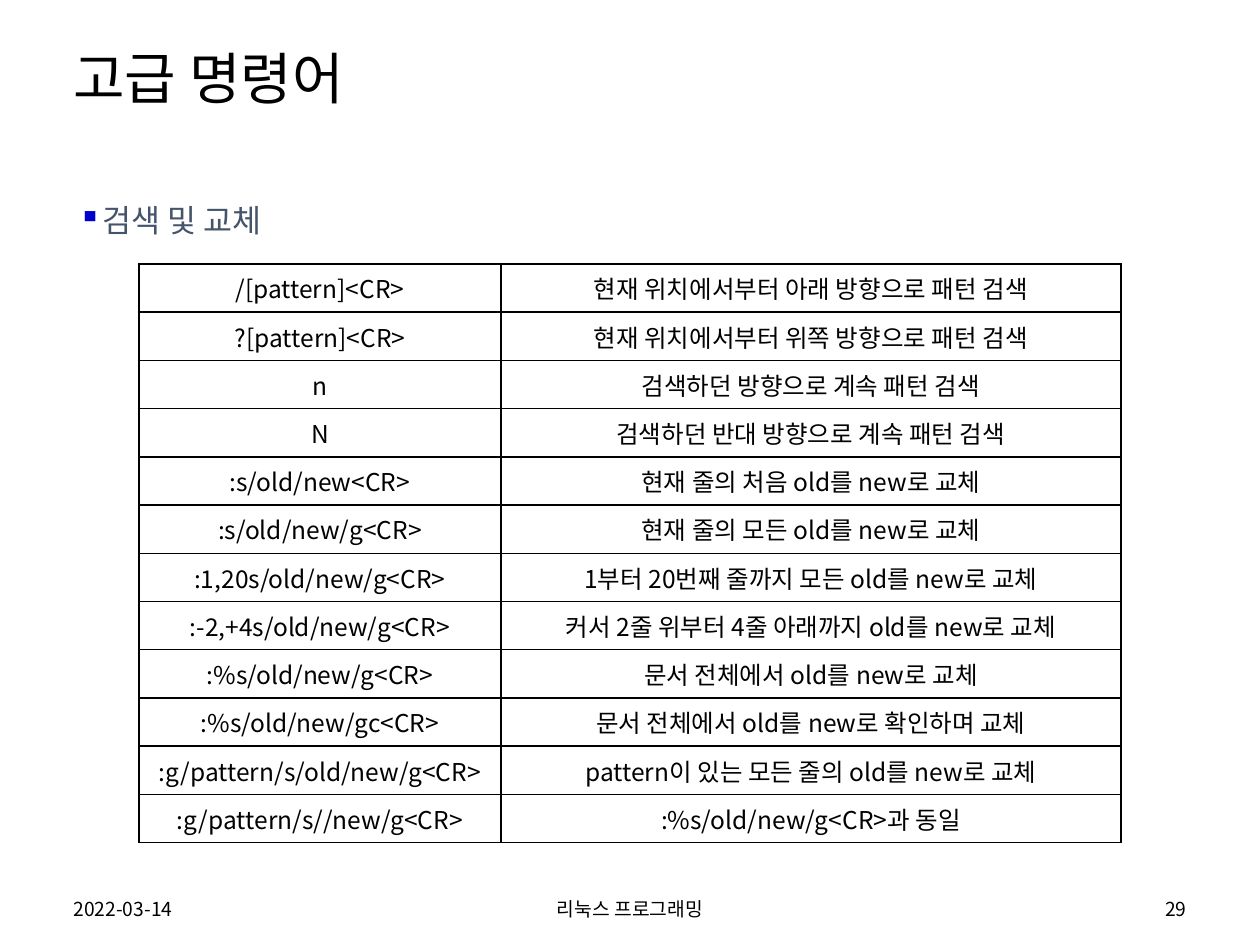
import pptx
import pptx.util
import pptx.dml.color
import pptx.enum.text
import pptx.oxml
import pptx.oxml.ns
from lxml import etree

PX = 914400 / 126
ALIGN = pptx.enum.text.PP_ALIGN
MIDDLE = pptx.enum.text.MSO_ANCHOR.MIDDLE
THEME = {
    "font": "Noto Sans CJK KR",
    "text": "000000", "heading": "44546A", "bullet": "0000CC", "border": "000000",
    "title_pt": 32, "heading_pt": 18, "table_pt": 14, "footer_pt": 11,
}
qn = pptx.oxml.ns.qn


def write(tf, text, size, color="text", align=ALIGN.LEFT):
    """Put one styled run into the first paragraph and return the paragraph."""
    p = tf.paragraphs[0]
    p.alignment = align
    r = p.add_run()
    r.text = text
    r.font.size = pptx.util.Pt(THEME[size])
    r.font.name = THEME["font"]
    r.font.color.rgb = pptx.dml.color.RGBColor.from_string(THEME[color])
    return p


def add_text(box, text, size, color="text", align=ALIGN.LEFT, anchor=MIDDLE):
    tf = s.shapes.add_textbox(*[round(v * PX) for v in box]).text_frame
    tf.word_wrap = True
    tf.vertical_anchor = anchor
    return write(tf, text, size, color, align)


prs = pptx.Presentation()
prs.slide_width = round(1260 * PX)
prs.slide_height = round(945 * PX)
s = prs.slides.add_slide(prs.slide_layouts[6])

# Title and footer
p = add_text((61, 29, 1142, 105), "고급 명령어", "title_pt")
p.line_spacing = 0.9
for x, w, text, align in [
    (61, 284, "2022-03-14", ALIGN.LEFT),
    (417, 426, "리눅스 프로그래밍", ALIGN.CENTER),
    (915, 284, "29", ALIGN.RIGHT),
]:
    add_text((x, 891, w, 35), text, "footer_pt", align=align)

# Command table
rows = [
    ("/[pattern]<CR>", "현재 위치에서부터 아래 방향으로 패턴 검색"),
    ("?[pattern]<CR>", "현재 위치에서부터 위쪽 방향으로 패턴 검색"),
    ("n", "검색하던 방향으로 계속 패턴 검색"),
    ("N", "검색하던 반대 방향으로 계속 패턴 검색"),
    (":s/old/new<CR>", "현재 줄의 처음 old를 new로 교체"),
    (":s/old/new/g<CR>", "현재 줄의 모든 old를 new로 교체"),
    (":1,20s/old/new/g<CR>", "1부터 20번째 줄까지 모든 old를 new로 교체"),
    (":-2,+4s/old/new/g<CR>", "커서 2줄 위부터 4줄 아래까지 old를 new로 교체"),
    (":%s/old/new/g<CR>", "문서 전체에서 old를 new로 교체"),
    (":%s/old/new/gc<CR>", "문서 전체에서 old를 new로 확인하며 교체"),
    (":g/pattern/s/old/new/g<CR>", "pattern이 있는 모든 줄의 old를 new로 교체"),
    (":g/pattern/s//new/g<CR>", ":%s/old/new/g<CR>과 동일"),
]
widths = [362, 620]
box = [round(v * PX) for v in (139, 264, sum(widths), 579)]
table = s.shapes.add_table(len(rows), len(widths), *box).table
table.first_row = False
table.horz_banding = False
for column, w in zip(table.columns, widths):
    column.width = round(w * PX)
for i, row in enumerate(rows):
    for j, text in enumerate(row):
        cell = table.cell(i, j)
        cell.vertical_anchor = MIDDLE
        write(cell.text_frame, text, "table_pt", align=ALIGN.CENTER)
        tcPr = cell._tc.get_or_add_tcPr()
        for side in ("a:lnL", "a:lnR", "a:lnT", "a:lnB"):
            ln = etree.SubElement(tcPr, qn(side), w=str(pptx.util.Pt(1)))
            fill = etree.SubElement(ln, qn("a:solidFill"))
            etree.SubElement(fill, qn("a:srgbClr"), val=THEME["border"])
        cell.fill.background()

# Bulleted heading
p = add_text((66, 195, 250, 50), "검색 및 교체", "heading_pt", "heading",
             anchor=pptx.enum.text.MSO_ANCHOR.TOP)
pPr = p._p.get_or_add_pPr()
indent = round(24 * PX)
pPr.set("marL", str(indent))
pPr.set("indent", str(-indent))
color = etree.SubElement(pPr, qn("a:buClr"))
etree.SubElement(color, qn("a:srgbClr"), val=THEME["bullet"])
etree.SubElement(pPr, qn("a:buChar"), char="▪")

prs.save("out.pptx")
